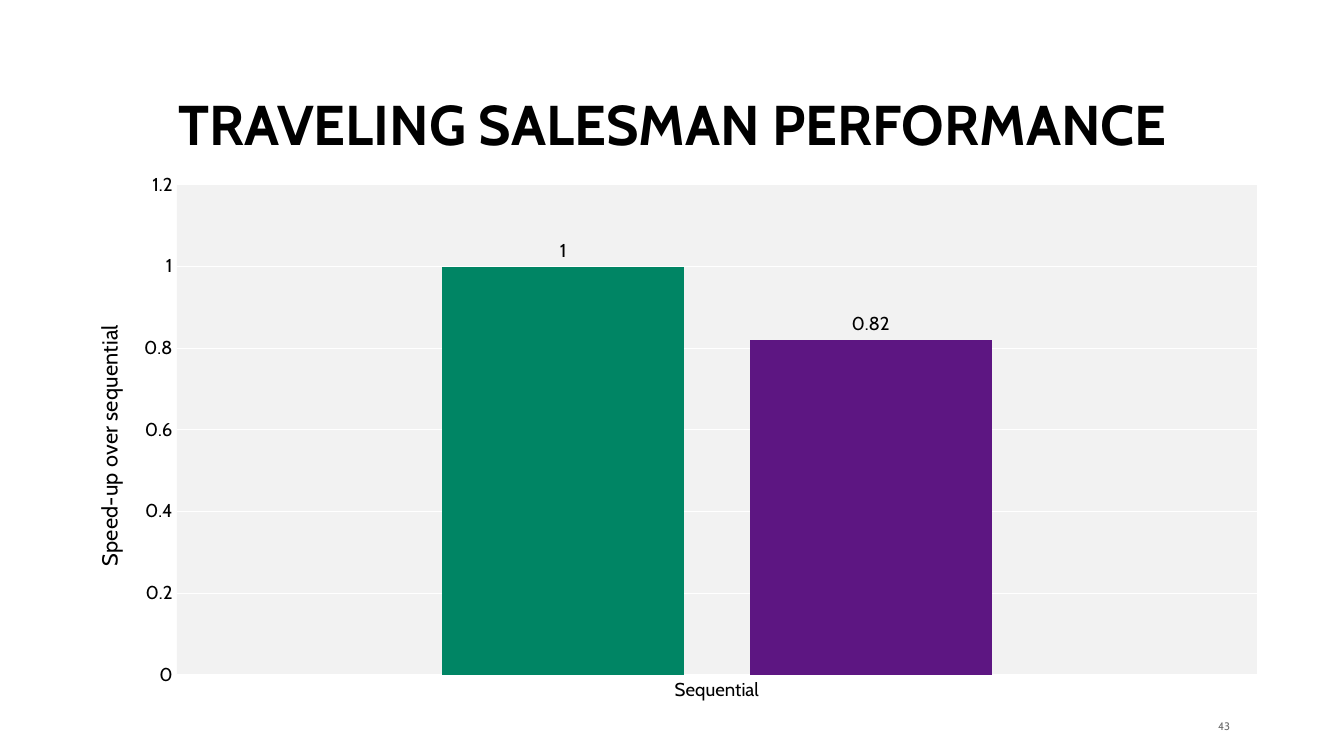
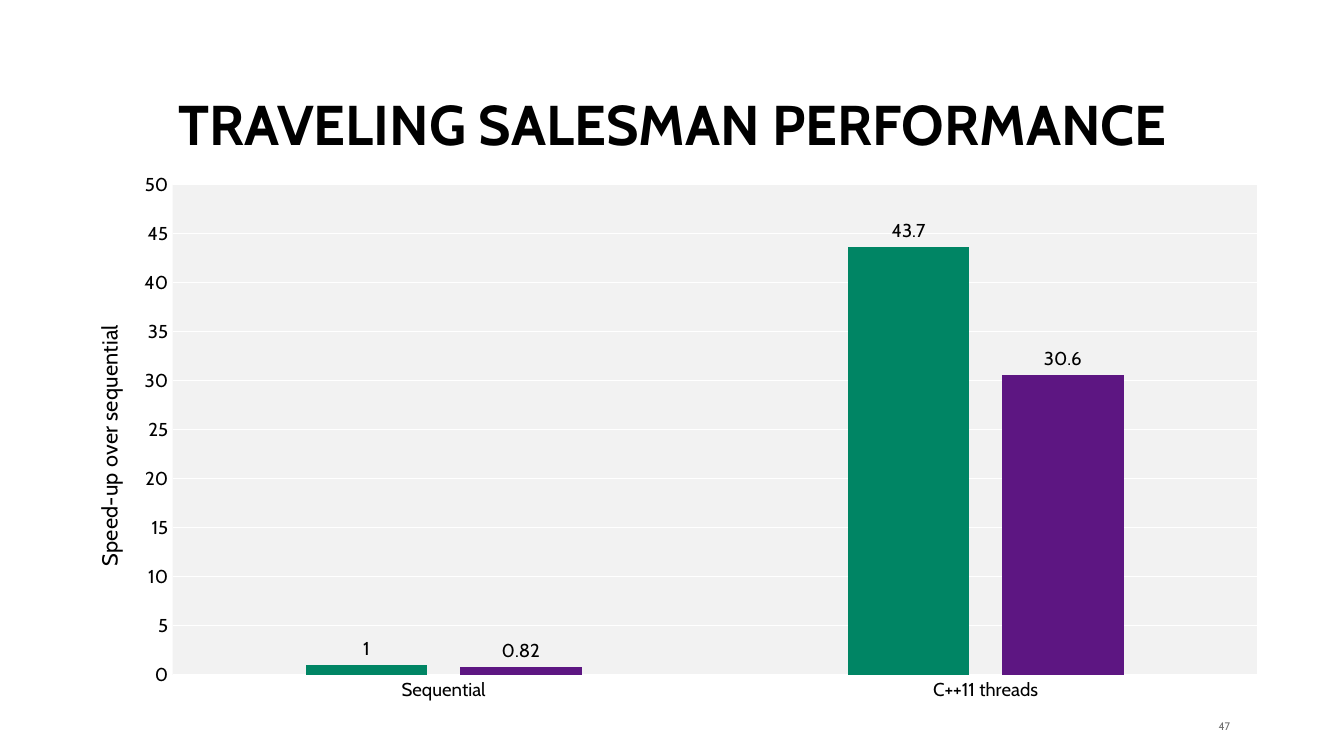
from lxml import etree
from pptx import Presentation
from pptx.chart.data import CategoryChartData
from pptx.dml.color import RGBColor
from pptx.enum.chart import XL_CHART_TYPE, XL_LABEL_POSITION, XL_TICK_MARK
from pptx.enum.text import MSO_ANCHOR, PP_ALIGN
from pptx.oxml.ns import qn
from pptx.util import Pt

COLORS = {
    "text": "000000",
    "number": "6E6E6E",
    "plot": "F2F2F2",
    "grid": "FFFFFF",
    "Series 1": "008564",
    "Series 2": "5D1682",
}
FONT = "Cabin"
TITLE = "TRAVELING SALESMAN PERFORMANCE"
AXIS_TITLE = "Speed-up over sequential"
CHART_LEFT, CHART_TOP, CHART_WIDTH, CHART_HEIGHT = 41, 104.4, 783.4, 353.5
PLOT_TOP, PLOT_RIGHT, PLOT_HEIGHT = 14.5, 767, 315
AXIS_TITLE_LEFT, AXIS_TITLE_TOP = 17, 102

RESULTS = [
    {"number": "43", "plot_left": 72.8, "top_value": 1.2, "step": 0.2,
     "speedups": {"Sequential": (1, 0.82)}},
    {"number": "47", "plot_left": 70, "top_value": 50, "step": 5,
     "speedups": {"Sequential": (1, 0.82), "C++11 threads": (43.7, 30.6)}},
]


def rgb(name):
    """Return the named colour."""
    return RGBColor.from_string(COLORS[name])


def style_font(font, size, color="text", bold=False):
    """Apply the deck's typeface with a size, colour and weight."""
    font.name, font.size, font.bold = FONT, Pt(size), bold
    font.color.rgb = rgb(color)


def add_text(slide, box, text, size, color, align, anchor, bold=False):
    """Add a one-line text box and return its frame."""
    frame = slide.shapes.add_textbox(*map(Pt, box)).text_frame
    frame.word_wrap = True
    frame.vertical_anchor = anchor
    frame.text = text
    line = frame.paragraphs[0]
    line.alignment = align
    style_font(line.runs[0].font, size, color, bold)
    return frame


def add_title(slide):
    """Add the heading shared by the slides."""
    frame = add_text(slide, (39.6, 58.3, 785.5, 46.8), TITLE, 36, "text",
                     PP_ALIGN.CENTER, MSO_ANCHOR.BOTTOM, bold=True)
    frame.paragraphs[0].line_spacing = 0.9


def add_slide_number(slide, number):
    """Add the page number at the lower right."""
    frame = add_text(slide, (767.5, 461.5, 25.2, 10.8), number, 7, "number",
                     PP_ALIGN.RIGHT, MSO_ANCHOR.MIDDLE)
    frame.margin_left = frame.margin_top = frame.margin_bottom = 0
    frame.margin_right = Pt(2)


def place(element, left, top, width=None, height=None, inner=False):
    """Fix a chart part at a position given in points within the chart."""
    for old in element.findall(qn("c:layout")):
        element.remove(old)
    layout = etree.Element(qn("c:layout"))
    manual = etree.SubElement(layout, qn("c:manualLayout"))
    settings = [("layoutTarget", "inner")] if inner else []
    settings += [("xMode", "edge"), ("yMode", "edge"),
                 ("x", left / CHART_WIDTH), ("y", top / CHART_HEIGHT)]
    if width:
        settings += [("w", width / CHART_WIDTH), ("h", height / CHART_HEIGHT)]
    for tag, value in settings:
        etree.SubElement(manual, qn(f"c:{tag}")).set("val", str(value))
    text = element.find(qn("c:tx"))
    element.insert(0 if text is None else 1, layout)


def fill_plot(plot_area):
    """Give the plot area its background."""
    properties = etree.SubElement(plot_area, qn("c:spPr"))
    fill = etree.SubElement(properties, qn("a:solidFill"))
    etree.SubElement(fill, qn("a:srgbClr")).set("val", COLORS["plot"])


def style_axes(chart, top_value, step):
    """Format the category and speed-up axes."""
    for axis in (chart.category_axis, chart.value_axis):
        axis.major_tick_mark = axis.minor_tick_mark = XL_TICK_MARK.NONE
        style_font(axis.tick_labels.font, 12)
    speedup_axis = chart.value_axis
    speedup_axis.minimum_scale, speedup_axis.maximum_scale = 0, top_value
    speedup_axis.major_unit = step
    speedup_axis.format.line.fill.background()
    for line in (chart.category_axis.format.line,
                 speedup_axis.major_gridlines.format.line):
        line.color.rgb = rgb("grid")
        line.width = Pt(0.75)
    heading = speedup_axis.axis_title
    heading.text_frame.text = AXIS_TITLE
    style_font(heading.text_frame.paragraphs[0].runs[0].font, 14)
    place(heading._element, AXIS_TITLE_LEFT, AXIS_TITLE_TOP)


def style_bars(plot):
    """Colour and label the clustered bars."""
    plot.gap_width, plot.overlap = 219, -27
    plot.vary_by_categories = False
    for series in plot.series:
        series.format.fill.solid()
        series.format.fill.fore_color.rgb = rgb(series.name)
        labels = series.data_labels
        labels.show_value = True
        labels.position = XL_LABEL_POSITION.OUTSIDE_END
        style_font(labels.font, 12)


def add_speedup_chart(slide, speedups, plot_left, top_value, step):
    """Add the clustered column chart of speed-ups."""
    data = CategoryChartData()
    data.categories = list(speedups)
    for name, values in zip(("Series 1", "Series 2"), zip(*speedups.values())):
        data.add_series(name, values)
    box = map(Pt, (CHART_LEFT, CHART_TOP, CHART_WIDTH, CHART_HEIGHT))
    chart = slide.shapes.add_chart(
        XL_CHART_TYPE.COLUMN_CLUSTERED, *box, data).chart
    style_font(chart.font, 10, "grid")
    chart.has_legend = chart.has_title = False
    style_axes(chart, top_value, step)
    style_bars(chart.plots[0])
    plot_area = chart._chartSpace.chart.plotArea
    place(plot_area, plot_left, PLOT_TOP, PLOT_RIGHT - plot_left, PLOT_HEIGHT,
          inner=True)
    fill_plot(plot_area)


def main():
    """Build and save the slides."""
    deck = Presentation()
    deck.slide_width, deck.slide_height = Pt(864), Pt(486)
    for result in RESULTS:
        slide = deck.slides.add_slide(deck.slide_layouts[6])
        add_slide_number(slide, result["number"])
        add_title(slide)
        add_speedup_chart(slide, result["speedups"], result["plot_left"],
                          result["top_value"], result["step"])
    deck.save("out.pptx")


if __name__ == "__main__":
    main()
